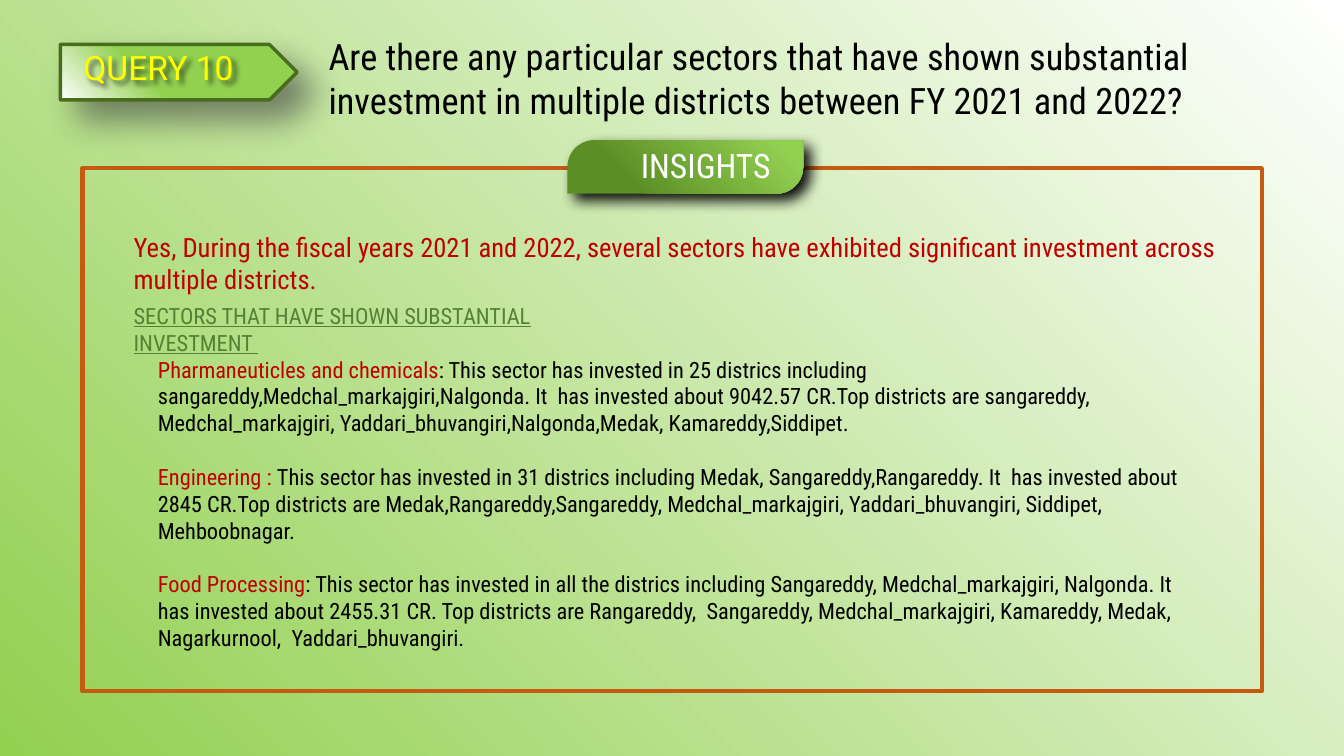
from lxml import etree
from pptx import Presentation
from pptx.dml.color import RGBColor
from pptx.enum.shapes import MSO_SHAPE
from pptx.enum.text import PP_ALIGN
from pptx.oxml.ns import qn
from pptx.util import Cm, Pt

RECTANGLE = MSO_SHAPE.RECTANGLE
PENTAGON = MSO_SHAPE.PENTAGON
LEAF = MSO_SHAPE.ROUND_2_DIAG_RECTANGLE
CENTER = PP_ALIGN.CENTER

COLORS = {
    "white": "FFFFFF", "black": "000000", "yellow": "FFFF00", "red": "C00000",
    "lime": "92D050", "leaf": "5C8E26", "moss": "476D1D", "fern": "548235",
    "rust": "C55A11", "gray": "404040",
}


def color(name):
    return RGBColor.from_string(COLORS[name])


def add_shadow(shape, name, opacity, blur, distance):
    shape.shadow.inherit = False
    effects = shape._element.spPr.find(qn("a:effectLst"))
    outer = etree.SubElement(
        effects, qn("a:outerShdw"), blurRad=str(Pt(blur)), dist=str(Pt(distance)),
        dir="2700000", algn="tl", rotWithShape="0")
    tint = etree.SubElement(outer, qn("a:srgbClr"), val=COLORS[name])
    etree.SubElement(tint, qn("a:alpha"), val=str(opacity * 1000))


deck = Presentation()
deck.slide_width, deck.slide_height = Cm(33.87), Cm(19.05)
page = deck.slides.add_slide(deck.slide_layouts[6])

shapes = [
    {"kind": RECTANGLE, "at": (0, 0, 33.87, 19.05),
     "gradient": [("lime", 0), ("white", 1)]},
    {"kind": RECTANGLE, "at": (2.08, 4.24, 29.72, 13.18), "line": ("rust", 3)},
    {"kind": PENTAGON, "at": (1.52, 1.12, 5.97, 1.4),
     "gradient": [("white", 0), ("lime", 0.38)], "line": ("moss", 2.5),
     "shadow": ("gray", 60, 24, 19)},
    {"kind": LEAF, "at": (14.3, 3.53, 5.94, 1.35), "adjust": (0.5, 0),
     "gradient": [("leaf", 0.25), ("lime", 0.91)],
     "shadow": ("black", 95, 10, 7)},
]
for item in shapes:
    shape = page.shapes.add_shape(item["kind"], *map(Cm, item["at"]))
    shape.shadow.inherit = False
    for index, value in enumerate(item.get("adjust", ())):
        shape.adjustments[index] = value
    if "gradient" in item:
        shape.fill.gradient()
        shape.fill.gradient_angle = 45
        for stop, (name, position) in zip(shape.fill.gradient_stops, item["gradient"]):
            stop.color.rgb = color(name)
            stop.position = position
    else:
        shape.fill.background()
    if "line" in item:
        name, width = item["line"]
        shape.line.color.rgb = color(name)
        shape.line.width = Pt(width)
    else:
        shape.line.fill.background()
    if "shadow" in item:
        add_shadow(shape, *item["shadow"])

sectors = [
    [("Pharmaneuticles and chemicals", "red"),
     (": This sector has invested in 25 districs including "
      "sangareddy,Medchal_markajgiri,Nalgonda. It  has invested about 9042.57 CR."
      "Top districts are sangareddy, Medchal_markajgiri, "
      "Yaddari_bhuvangiri,Nalgonda,Medak, Kamareddy,Siddipet.", "black")],
    [("Engineering : ", "red"),
     ("This sector has invested in 31 districs including Medak, "
      "Sangareddy,Rangareddy. It  has invested about 2845 CR."
      "Top districts are Medak,Rangareddy,Sangareddy, Medchal_markajgiri, "
      "Yaddari_bhuvangiri, Siddipet, Mehboobnagar.", "black")],
    [("Food Processing", "red"),
     (": This sector has invested in all the districs including Sangareddy, "
      "Medchal_markajgiri, Nalgonda. It has invested about 2455.31 CR. "
      "Top districts are Rangareddy,  Sangareddy, Medchal_markajgiri, Kamareddy, "
      "Medak, Nagarkurnool,  Yaddari_bhuvangiri.", "black")],
]
texts = [
    {"at": (1.52, 1.17, 4.95, 1.7), "paras": [[("QUERY 10", "yellow")]],
     "font": {"size": Pt(24), "name": "Roboto"},
     "layout": {"alignment": CENTER, "line_spacing": 0.9},
     "shadow": ("black", 60, 4, 4)},
    {"at": (15.9, 3.53, 6.1, 1.2), "paras": [[("INSIGHTS", "white")]],
     "font": {"size": Pt(24)}},
    {"at": (8.03, 0.74, 24.1, 2.49),
     "paras": [[("Are there any particular sectors that have shown substantial "
                 "investment in multiple districts between FY 2021 and 2022?", "black")]],
     "font": {"size": Pt(26)}},
    {"at": (3.12, 5.69, 28.02, 1.8),
     "paras": [[("Yes, During the fiscal years 2021 and 2022, several sectors have "
                 "exhibited significant investment across multiple districts.", "red")]],
     "font": {"size": Pt(19)}},
    {"at": (3.12, 7.49, 12.14, 1.63),
     "paras": [[("SECTORS THAT HAVE SHOWN SUBSTANTIAL INVESTMENT ", "fern")]],
     "font": {"size": Pt(16), "underline": True}},
    {"at": (3.73, 8.84, 26.87, 8), "paras": sectors, "font": {"size": Pt(16)}},
]
for item in texts:
    box = page.shapes.add_textbox(*map(Cm, item["at"]))
    frame = box.text_frame
    frame.word_wrap = True
    for index, pieces in enumerate(item["paras"]):
        para = frame.add_paragraph() if index else frame.paragraphs[0]
        if index:
            para.space_before = Pt(19)
        for key, value in item.get("layout", {}).items():
            setattr(para, key, value)
        for words, name in pieces:
            span = para.add_run()
            span.text = words
            span.font.color.rgb = color(name)
            for key, value in ({"name": "Roboto Condensed"} | item["font"]).items():
                setattr(span.font, key, value)
    if "shadow" in item:
        add_shadow(box, *item["shadow"])

deck.save("out.pptx")
